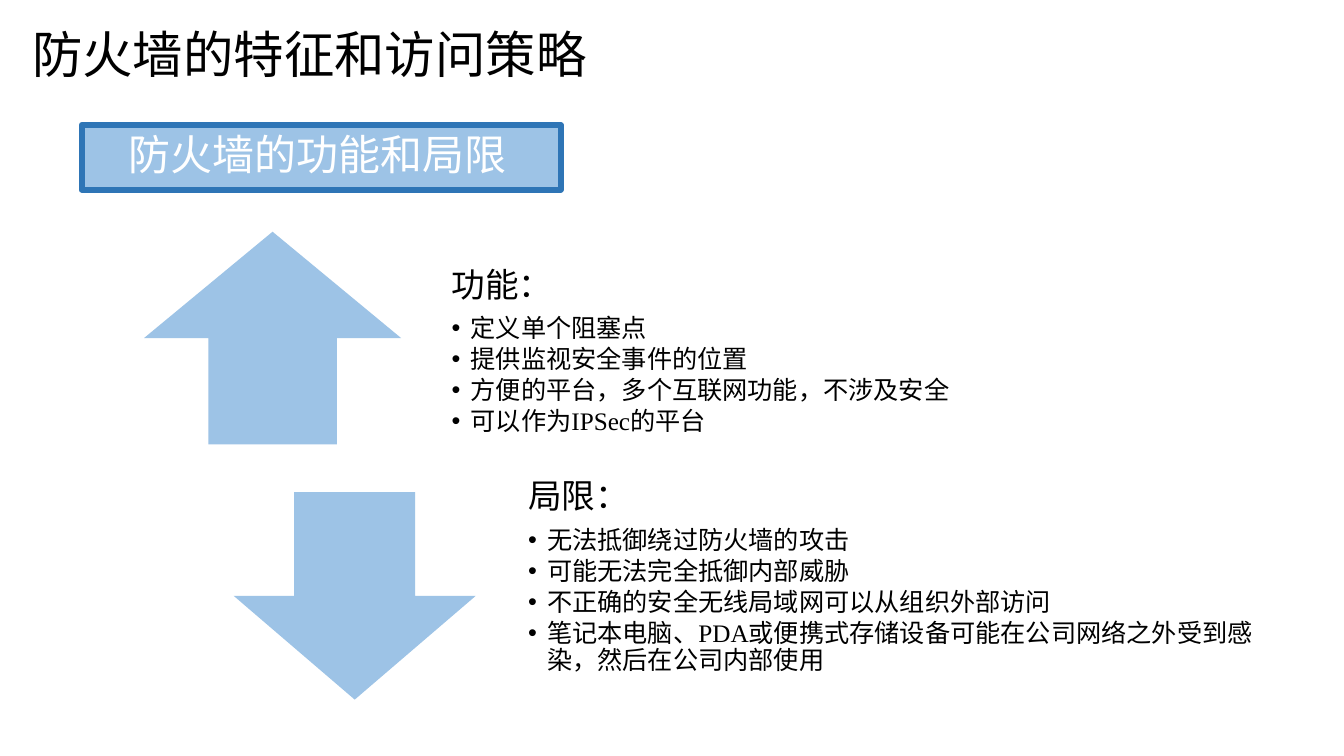
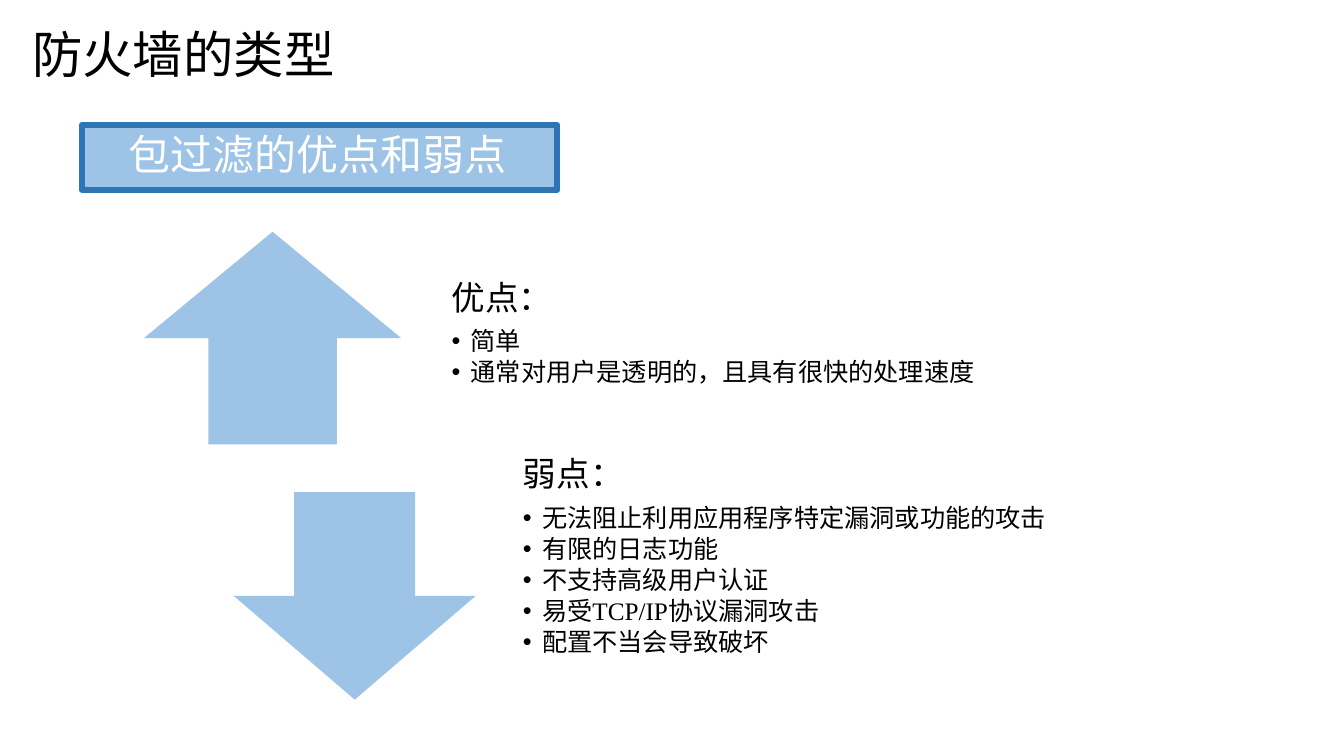
"""Build two firewall slides, each with a banner, two arrows and two lists."""
from lxml.etree import SubElement
from pptx import Presentation
from pptx.dml.color import RGBColor
from pptx.enum.shapes import MSO_SHAPE
from pptx.enum.text import MSO_ANCHOR, MSO_AUTO_SIZE, PP_ALIGN
from pptx.oxml.ns import qn
from pptx.util import Cm, Pt

COLORS = {"text": "000000", "fill": "9DC3E6", "line": "2E75B6", "banner": "FFFFFF"}
CJK, LATIN = "Noto Sans CJK SC", "Times New Roman"
TITLE_BOX = (0.53, 0, 15.01, 2.69)
ARROWS = [
    (MSO_SHAPE.UP_ARROW, (3.63, 5.84, 6.48, 5.36)),
    (MSO_SHAPE.DOWN_ARROW, (5.89, 12.4, 6.1, 5.23)),
]
SLIDES = [
    {
        "title": "防火墙的特征和访问策略",
        "banner": ("防火墙的功能和局限", 12.07),
        "lists": [
            ((10.9, 6.6, 18.03, 5.03), "功能：", [
                "定义单个阻塞点",
                "提供监视安全事件的位置",
                "方便的平台，多个互联网功能，不涉及安全",
                "可以作为IPSec的平台",
            ]),
            ((12.83, 11.81, 19.35, 5.97), "局限：", [
                "无法抵御绕过防火墙的攻击",
                "可能无法完全抵御内部威胁",
                "不正确的安全无线局域网可以从组织外部访问",
                "笔记本电脑、PDA或便携式存储设备可能在公司网络之外受到感染，然后在公司内部使用",
            ]),
        ],
    },
    {
        "title": "防火墙的类型",
        "banner": ("包过滤的优点和弱点", 11.99),
        "lists": [
            ((10.9, 6.88, 18.03, 3.56), "优点：", [
                "简单",
                "通常对用户是透明的，且具有很快的处理速度",
            ]),
            ((12.7, 11.3, 19.35, 5.97), "弱点：", [
                "无法阻止利用应用程序特定漏洞或功能的攻击",
                "有限的日志功能",
                "不支持高级用户认证",
                "易受TCP/IP协议漏洞攻击",
                "配置不当会导致破坏",
            ]),
        ],
    },
]


def place(sp, box):
    sp.left, sp.top, sp.width, sp.height = map(Cm, box)


def setup_frame(tf, left=0.48, top=0, right=0.48, bottom=0):
    tf.word_wrap = True
    tf.auto_size = MSO_AUTO_SIZE.NONE
    tf.vertical_anchor = MSO_ANCHOR.MIDDLE
    tf.margin_left, tf.margin_top = Cm(left), Cm(top)
    tf.margin_right, tf.margin_bottom = Cm(right), Cm(bottom)


def write(p, text, size=18, font=CJK, color="text", spacing=0.9, after=0, bullet=False):
    p.alignment = PP_ALIGN.LEFT
    p.line_spacing = spacing
    p.space_before, p.space_after = Pt(0), Pt(after)
    pPr = p._p.get_or_add_pPr()
    indent = Cm(0.48) if bullet else 0
    pPr.set("marL", str(indent))
    pPr.set("indent", str(-indent))
    if bullet:
        SubElement(pPr, qn("a:buFont"), typeface="Arial")
        SubElement(pPr, qn("a:buChar"), char="•")
    else:
        SubElement(pPr, qn("a:buNone"))
    r = p.add_run()
    r.text = text
    r.font.size = Pt(size)
    r.font.color.rgb = RGBColor.from_string(COLORS[color])
    r.font.name = font
    SubElement(r._r.get_or_add_rPr(), qn("a:ea"), typeface=CJK)


def add_block(s, kind, box, line=None):
    sp = s.shapes.add_shape(kind, *map(Cm, box))
    sp.shadow.inherit = False
    sp.fill.solid()
    sp.fill.fore_color.rgb = RGBColor.from_string(COLORS["fill"])
    if line:
        sp.line.color.rgb = RGBColor.from_string(COLORS[line])
        sp.line.width = Pt(4.33)
        SubElement(sp.line._get_or_add_ln(), qn("a:round"))
    else:
        sp.line.fill.background()
    return sp


def fill_list(sp, box, heading, items):
    place(sp, box)
    tf = sp.text_frame
    setup_frame(tf, bottom=0.48)
    write(tf.paragraphs[0], heading, size=24, font=LATIN, after=8.4)
    for item in items:
        write(tf.add_paragraph(), item, font=LATIN, after=2.7, bullet=True)


def build_slide(prs, layout, content):
    s = prs.slides.add_slide(layout)
    title, *bodies = s.placeholders
    setup_frame(title.text_frame, 0.28, 0.15, 0.28, 0.15)
    write(title.text_frame.paragraphs[0], content["title"], size=36, spacing=1.0)

    text, width = content["banner"]
    banner = add_block(s, MSO_SHAPE.RECTANGLE, (2.06, 3.15, width, 1.63), line="line")
    setup_frame(banner.text_frame, left=1.19, right=1.19)
    write(banner.text_frame.paragraphs[0], text, size=30, color="banner")

    for kind, box in ARROWS:
        add_block(s, kind, box)
    for sp, block in zip(bodies, content["lists"]):
        fill_list(sp, *block)


def main():
    prs = Presentation()
    prs.slide_width, prs.slide_height = Cm(33.87), Cm(19.05)
    layout = prs.slide_layouts.get_by_name("Two Content")
    place(layout.placeholders[0], TITLE_BOX)
    for content in SLIDES:
        build_slide(prs, layout, content)
    prs.save("out.pptx")


if __name__ == "__main__":
    main()
